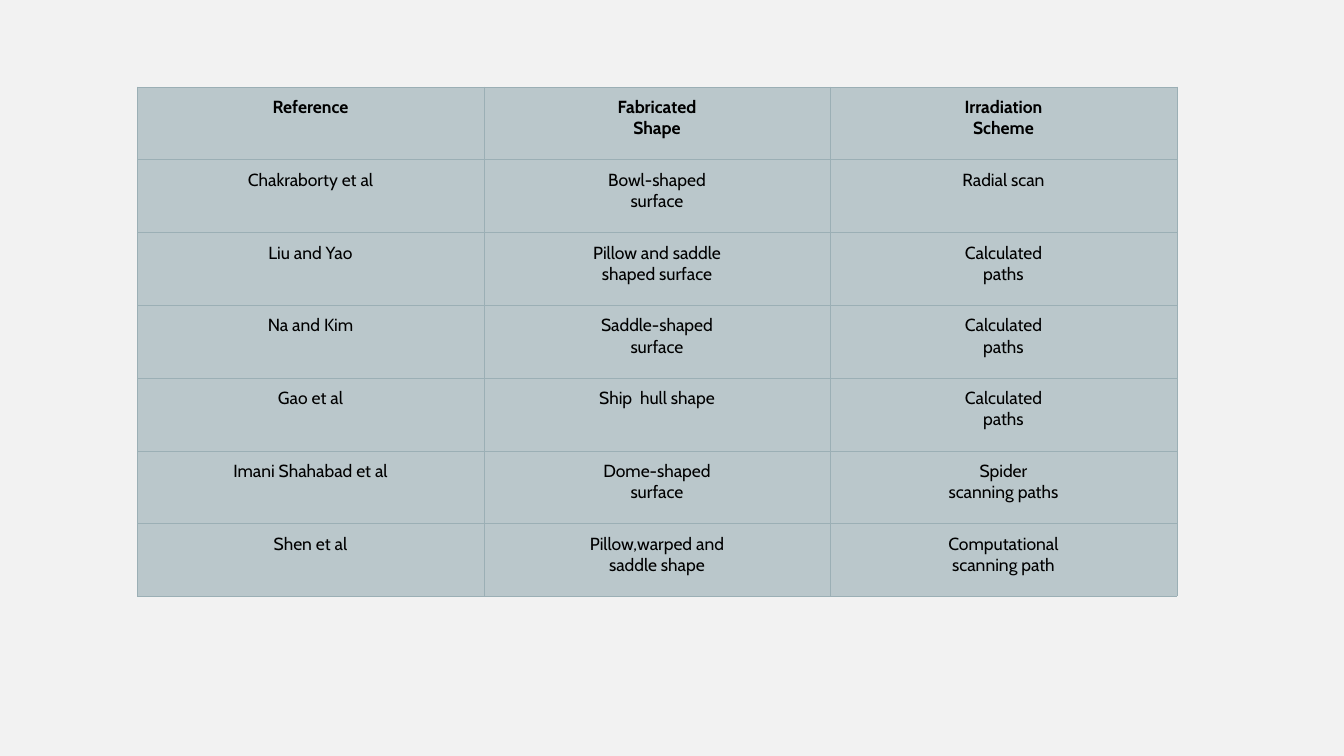
from dataclasses import dataclass

from lxml.etree import SubElement
from pptx import Presentation
from pptx.dml.color import RGBColor
from pptx.enum.text import MSO_ANCHOR as Anchor, PP_ALIGN as Align
from pptx.oxml.ns import qn
from pptx.util import Emu, Pt

EMU_PER_PX = 12700
BACKGROUND = "F2F2F2"
CELL_FILL = "BAC7CB"
BORDER = "9BAFB5"
TEXT = "000000"


@dataclass(frozen=True)
class Study:
    reference: str
    shape: str
    scheme: str

    def entries(self) -> tuple[str, str, str]:
        return self.reference, self.shape, self.scheme


HEADINGS = Study("Reference", "Fabricated\nShape", "Irradiation\nScheme")
STUDIES = [
    Study("Chakraborty et al", "Bowl-shaped\nsurface", "Radial scan"),
    Study("Liu and Yao", "Pillow and saddle\nshaped surface", "Calculated\npaths"),
    Study("Na and Kim", "Saddle-shaped\nsurface", "Calculated\npaths"),
    Study("Gao et al", "Ship  hull shape", "Calculated\npaths"),
    Study("Imani Shahabad et al", "Dome-shaped\nsurface", "Spider\nscanning paths"),
    Study("Shen et al", "Pillow,warped and\nsaddle shape", "Computational\nscanning path"),
]


def px(length: int) -> Emu:
    return Emu(length * EMU_PER_PX)


def color(hex_code: str) -> RGBColor:
    return RGBColor.from_string(hex_code)


def draw_borders(cell) -> None:
    properties = cell._tc.get_or_add_tcPr()
    for position, side in enumerate(("lnL", "lnR", "lnT", "lnB")):
        edge = SubElement(properties, qn(f"a:{side}"), w=str(Pt(0.5)))
        fill = SubElement(edge, qn("a:solidFill"))
        SubElement(fill, qn("a:srgbClr"), val=BORDER)
        properties.insert(position, edge)


def fill_cell(cell, entry: str, bold: bool) -> None:
    cell.fill.solid()
    cell.fill.fore_color.rgb = color(CELL_FILL)
    cell.margin_left = cell.margin_right = px(14)
    cell.margin_top = cell.margin_bottom = px(14)
    cell.vertical_anchor = Anchor.TOP
    cell.text_frame.text = entry
    for paragraph in cell.text_frame.paragraphs:
        paragraph.alignment = Align.CENTER
        font = paragraph.font
        font.name = "Cabin"
        font.size = Pt(25)
        font.bold = bold
        font.color.rgb = color(TEXT)
    draw_borders(cell)


def draw_studies(slide, studies: list[Study]) -> None:
    rows, columns = len(studies), len(HEADINGS.entries())
    table = slide.shapes.add_table(
        rows, columns, px(196), px(124), px(495 * columns), px(104 * rows)
    ).table
    for column in table.columns:
        column.width = px(495)
    for row, study in zip(table.rows, studies):
        row.height = px(104)
        for cell, entry in zip(row.cells, study.entries()):
            fill_cell(cell, entry, bold=study is HEADINGS)


def main() -> None:
    deck = Presentation()
    deck.slide_width, deck.slide_height = px(1920), px(1080)
    slide = deck.slides.add_slide(deck.slide_layouts[6])
    slide.background.fill.solid()
    slide.background.fill.fore_color.rgb = color(BACKGROUND)
    draw_studies(slide, [HEADINGS, *STUDIES])
    deck.save("out.pptx")


if __name__ == "__main__":
    main()
